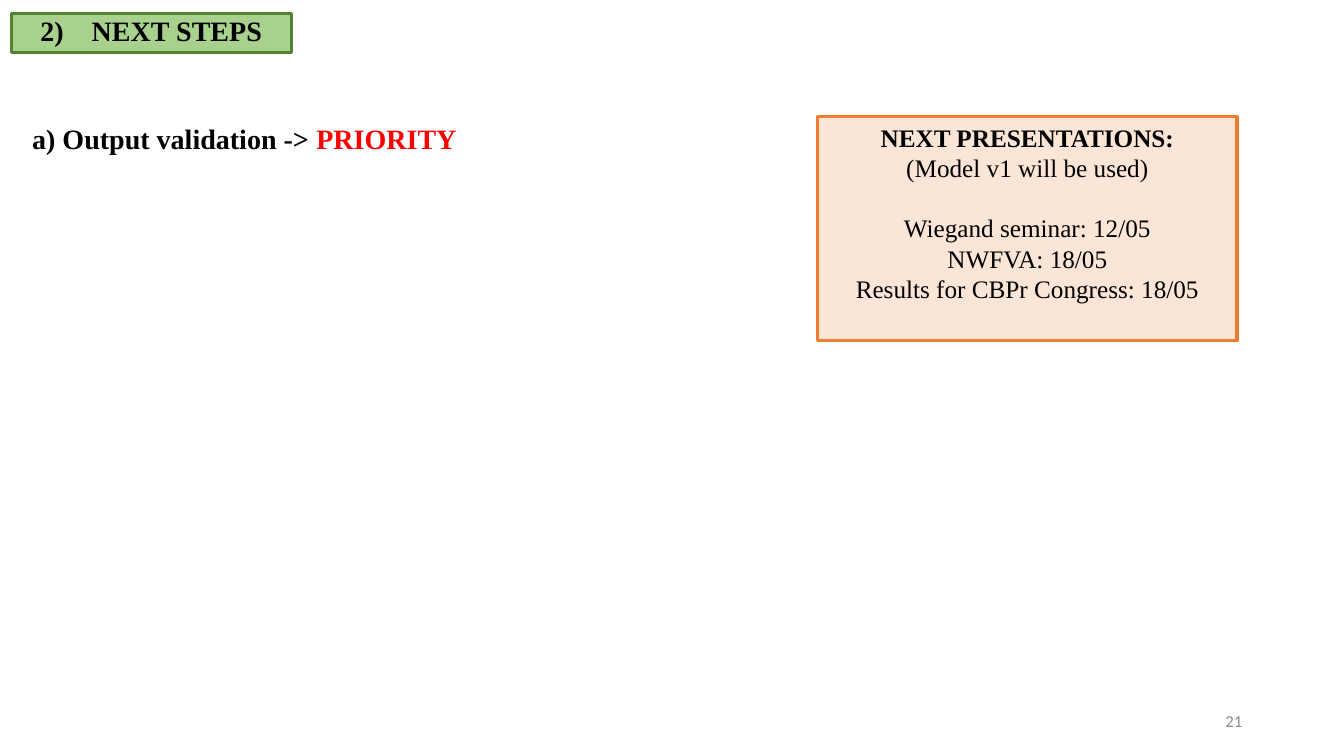
from pptx import Presentation
from pptx.dml.color import RGBColor
from pptx.enum.shapes import MSO_SHAPE
from pptx.enum.text import MSO_ANCHOR, PP_ALIGN
from pptx.util import Inches, Pt

SERIF = "Times New Roman"
BLACK = "000000"


def rgb(value):
    return RGBColor.from_string(value)


def add_text(s, left, top, width, height, anchor=MSO_ANCHOR.TOP):
    sp = s.shapes.add_textbox(Inches(left), Inches(top), Inches(width), Inches(height))
    tf = sp.text_frame
    tf.word_wrap = True
    tf.vertical_anchor = anchor
    return tf


def add_box(s, left, top, width, height, fill, line, anchor=MSO_ANCHOR.TOP):
    sp = s.shapes.add_shape(MSO_SHAPE.RECTANGLE, Inches(left), Inches(top),
                            Inches(width), Inches(height))
    sp.shadow.inherit = False
    sp.fill.solid()
    sp.fill.fore_color.rgb = rgb(fill)
    sp.line.color.rgb = rgb(line)
    sp.line.width = Pt(2.25)
    tf = sp.text_frame
    tf.word_wrap = True
    tf.vertical_anchor = anchor
    return tf


def style_run(r, size, color=BLACK, bold=False, font=SERIF):
    r.font.size = Pt(size)
    r.font.name = font
    r.font.bold = bold
    r.font.color.rgb = rgb(color)


def add_heading(s):
    tf = add_box(s, 0.11, 0.13, 2.78, 0.39, "A9D18E", "548235", MSO_ANCHOR.BOTTOM)
    tf.margin_left = Inches(0.29)
    p = tf.paragraphs[0]
    p.text = "2)\tNEXT STEPS"
    p.alignment = PP_ALIGN.LEFT
    p.line_spacing = 0.9
    # Hanging indent sets the gap after the number
    pPr = p._p.get_or_add_pPr()
    pPr.set("marL", str(Inches(0.51)))
    pPr.set("indent", str(-Inches(0.51)))
    style_run(p.runs[0], 20, bold=True)


def add_task(s):
    p = add_text(s, 0.22, 1.16, 7.17, 1.11).paragraphs[0]
    for text, color in (("a) Output validation -> ", BLACK), ("PRIORITY", "FF0000")):
        r = p.add_run()
        r.text = text
        style_run(r, 20, color, bold=True)


def add_presentations(s):
    tf = add_box(s, 8.11, 1.16, 4.16, 2.22, "FBE5D6", "ED7D31")
    tf.text = "\n".join((
        "NEXT PRESENTATIONS:",
        "(Model v1 will be used)",
        "Wiegand seminar: 12/05",
        "NWFVA: 18/05",
        "Results for CBPr Congress: 18/05",
    ))
    for i, p in enumerate(tf.paragraphs):
        p.alignment = PP_ALIGN.CENTER
        style_run(p.runs[0], 18, bold=i == 0)
    # One line of space before the dates
    tf.paragraphs[2].space_before = Pt(21.6)


def add_page_number(s):
    p = add_text(s, 9.42, 6.95, 3, 0.4, MSO_ANCHOR.MIDDLE).paragraphs[0]
    p.text = "21"
    p.alignment = PP_ALIGN.RIGHT
    style_run(p.runs[0], 12, "8C8C8C", font="Calibri")


def main():
    prs = Presentation()
    prs.slide_width, prs.slide_height = Inches(13.33), Inches(7.5)
    s = prs.slides.add_slide(prs.slide_layouts[6])
    add_task(s)
    add_page_number(s)
    add_heading(s)
    add_presentations(s)
    prs.save("out.pptx")


if __name__ == "__main__":
    main()
